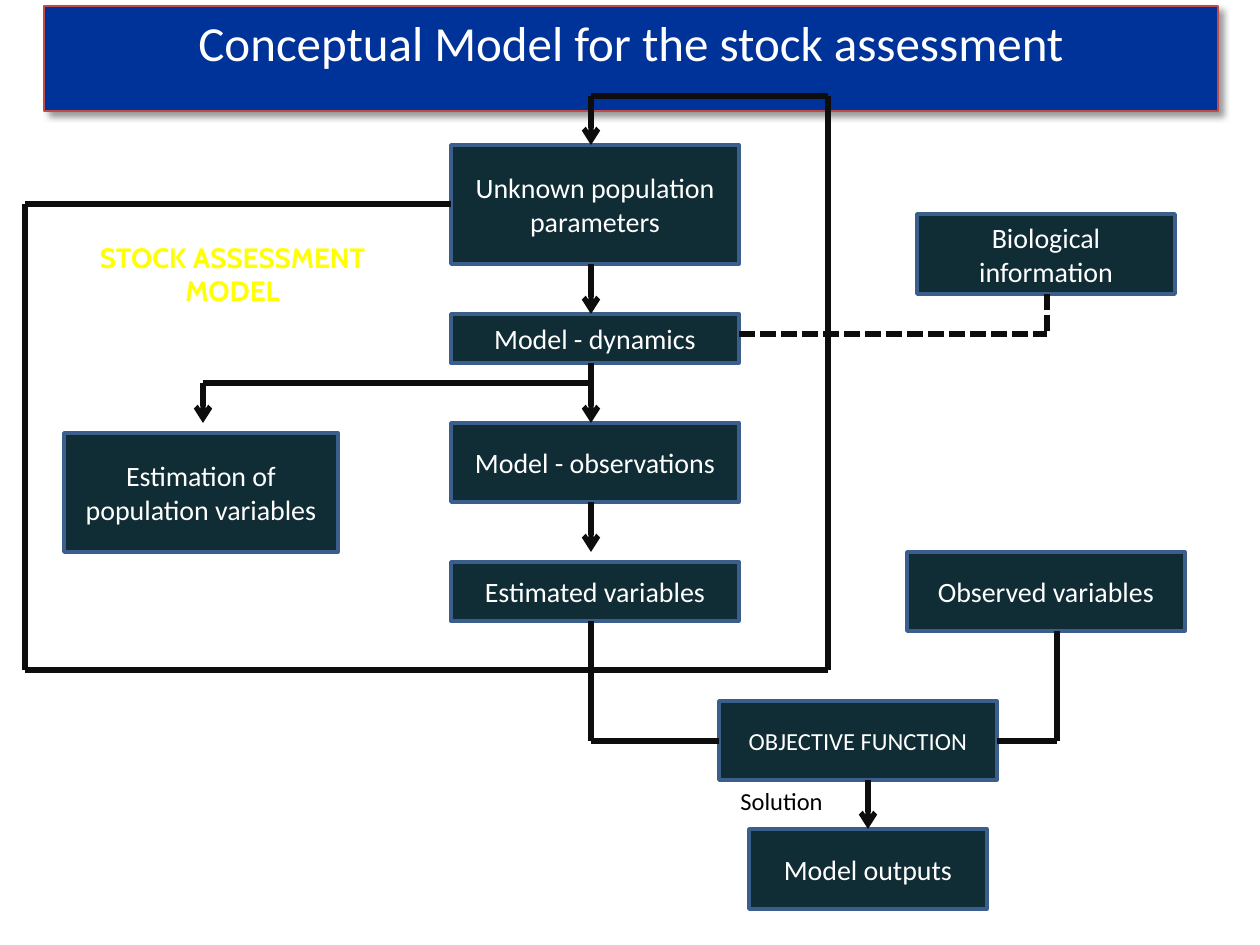
import dataclasses

import pptx
import pptx.dml.color
import pptx.enum.dml
import pptx.enum.shapes
import pptx.enum.text
import pptx.oxml
import pptx.oxml.ns
import pptx.util

PX = 914400 / 126
ALIGN = pptx.enum.text.PP_ALIGN
ANCHOR = pptx.enum.text.MSO_ANCHOR
GROW = pptx.enum.text.MSO_AUTO_SIZE.SHAPE_TO_FIT_TEXT
NAMESPACE = pptx.oxml.ns.nsdecls("a")


@dataclasses.dataclass(frozen=True)
class Theme:
    font: str = "Calibri"
    label_font: str = "Cabin"
    white: str = "FFFFFF"
    black: str = "000000"
    yellow: str = "FFFF00"
    title_fill: str = "003399"
    title_line: str = "BF4C48"
    box_fill: str = "102C34"
    box_line: str = "3A5F8C"
    connector: str = "0D0D0D"
    title_size: int = 28
    body_size: int = 16
    small_size: int = 14


THEME = Theme()

# Shared positions, in px
AXIS = 591          # centre line of the model chain
COLUMN, COLUMN_WIDTH = 451, 288
LOOP_LEFT, LOOP_RIGHT, LOOP_TOP, LOOP_BOTTOM = 25, 828, 96, 670
BRANCH_X, BRANCH_Y = 203, 383
OBJECTIVE_Y = 741

BOXES = [
    ("Unknown population parameters", COLUMN, 145, COLUMN_WIDTH, 119),
    ("Model - dynamics", COLUMN, 314, COLUMN_WIDTH, 49),
    ("Model - observations", COLUMN, 423, COLUMN_WIDTH, 79),
    ("Estimated variables", COLUMN, 562, COLUMN_WIDTH, 59),
    ("Observed variables", 907, 552, 278, 79),
    ("Biological information", 917, 214, 258, 80),
    ("Estimation of population variables", 64, 433, 274, 119),
    ("OBJECTIVE FUNCTION", 719, 701, 278, 79),
    ("Model outputs", 749, 829, 238, 80),
]

# Corner points, format
ROUTES = [
    ([(COLUMN, 204), (LOOP_LEFT, 204), (LOOP_LEFT, LOOP_BOTTOM),
      (LOOP_RIGHT, LOOP_BOTTOM), (LOOP_RIGHT, LOOP_TOP),
      (AXIS, LOOP_TOP), (AXIS, 145)], {"arrow": True}),
    ([(AXIS, 264), (AXIS, 314)], {"arrow": True}),
    ([(AXIS, 363), (AXIS, 423)], {"arrow": True}),
    ([(AXIS, BRANCH_Y), (BRANCH_X, BRANCH_Y), (BRANCH_X, 423)], {"arrow": True}),
    ([(AXIS, 502), (AXIS, 552)], {"arrow": True}),
    ([(AXIS, 621), (AXIS, OBJECTIVE_Y), (719, OBJECTIVE_Y)], {}),
    ([(997, OBJECTIVE_Y), (1057, OBJECTIVE_Y), (1057, 631)], {}),
    ([(868, 780), (868, 829)], {"arrow": True}),
    ([(739, 334), (1047, 334)], {"dashed": True}),
    ([(1047, 294), (1047, 334)], {"dashed": True}),
]


def px(*lengths):
    return [pptx.util.Emu(round(length * PX)) for length in lengths]


def rgb(value):
    return pptx.dml.color.RGBColor.from_string(value)


def apply_format(target, values):
    for name, value in values.items():
        setattr(target, name, value)


def write_text(shape, text, color, size, font=THEME.font, bold=False,
               align=ALIGN.CENTER, **frame_format):
    """Put one formatted run in the shape and return it."""
    apply_format(shape.text_frame, {"word_wrap": True, **frame_format})
    paragraph = shape.text_frame.paragraphs[0]
    paragraph.alignment = align
    run = paragraph.add_run()
    run.text = text
    apply_format(run.font, {"name": font, "size": pptx.util.Pt(size), "bold": bold})
    run.font.color.rgb = rgb(color)
    return run


def paint(shape, fill, line, width):
    shape.fill.solid()
    shape.fill.fore_color.rgb = rgb(fill)
    shape.line.color.rgb = rgb(line)
    shape.line.width = pptx.util.Pt(width)


def add_title(slide, text):
    title = slide.shapes.title
    left, top, width, height = px(44, 6, 1174, 72)
    apply_format(title, {"left": left, "top": top, "width": width, "height": height})
    paint(title, THEME.title_fill, THEME.title_line, 0.75)
    title._element.spPr.append(pptx.oxml.parse_xml(
        f'<a:effectLst {NAMESPACE}><a:outerShdw blurRad="50800" dist="38100" '
        f'dir="2700000" algn="tl" rotWithShape="0"><a:srgbClr val="{THEME.black}">'
        '<a:alpha val="40000"/></a:srgbClr></a:outerShdw></a:effectLst>'))
    write_text(title, text, THEME.white, THEME.title_size,
               vertical_anchor=ANCHOR.TOP, auto_size=GROW)


def add_box(shapes, text, *bounds):
    box = shapes.add_shape(pptx.enum.shapes.MSO_SHAPE.RECTANGLE, *px(*bounds))
    box.shadow.inherit = False
    paint(box, THEME.box_fill, THEME.box_line, 2)
    size = THEME.small_size if text.isupper() else THEME.body_size
    write_text(box, text, THEME.white, size, vertical_anchor=ANCHOR.MIDDLE)


def add_route(shapes, points, arrow=False, dashed=False):
    """Join the points with straight connectors; an arrow ends the last one."""
    for start, end in zip(points, points[1:]):
        connector = shapes.add_connector(
            pptx.enum.shapes.MSO_CONNECTOR.STRAIGHT, *px(*start, *end))
        connector.line.color.rgb = rgb(THEME.connector)
        connector.line.width = pptx.util.Pt(3)
        if dashed:
            connector.line.dash_style = pptx.enum.dml.MSO_LINE.SQUARE_DOT
        connector._element.spPr.append(
            pptx.oxml.parse_xml(f"<a:effectLst {NAMESPACE}/>"))
    if arrow:
        connector.line._get_or_add_ln().append(
            pptx.oxml.parse_xml(f'<a:tailEnd {NAMESPACE} type="arrow"/>'))


def add_label(slide, text, bounds, color, size, **text_format):
    label = slide.shapes.add_textbox(*px(*bounds))
    return write_text(label, text, color, size, auto_size=GROW, **text_format)


def outline_text(run, color, width):
    run.font._element.insert(0, pptx.oxml.parse_xml(
        f'<a:ln {NAMESPACE} w="{pptx.util.Pt(width)}"><a:solidFill>'
        f'<a:srgbClr val="{color}"/></a:solidFill></a:ln>'))


def main():
    presentation = pptx.Presentation()
    presentation.slide_width, presentation.slide_height = px(1260, 945)
    slide = presentation.slides.add_slide(presentation.slide_layouts[5])
    add_title(slide, "Conceptual Model for the stock assessment")

    diagram = slide.shapes.add_group_shape().shapes
    for box in BOXES:
        add_box(diagram, *box)
    for points, line_format in ROUTES:
        add_route(diagram, points, **line_format)

    model_name = add_label(slide, "STOCK ASSESSMENT MODEL", (54, 234, 357, 47),
                           THEME.yellow, THEME.body_size,
                           font=THEME.label_font, bold=True)
    outline_text(model_name, THEME.black, 0.75)
    add_label(slide, "Solution", (728, 780, 108, 43), THEME.black,
              THEME.small_size, align=ALIGN.LEFT, word_wrap=False)
    presentation.save("out.pptx")


if __name__ == "__main__":
    main()
